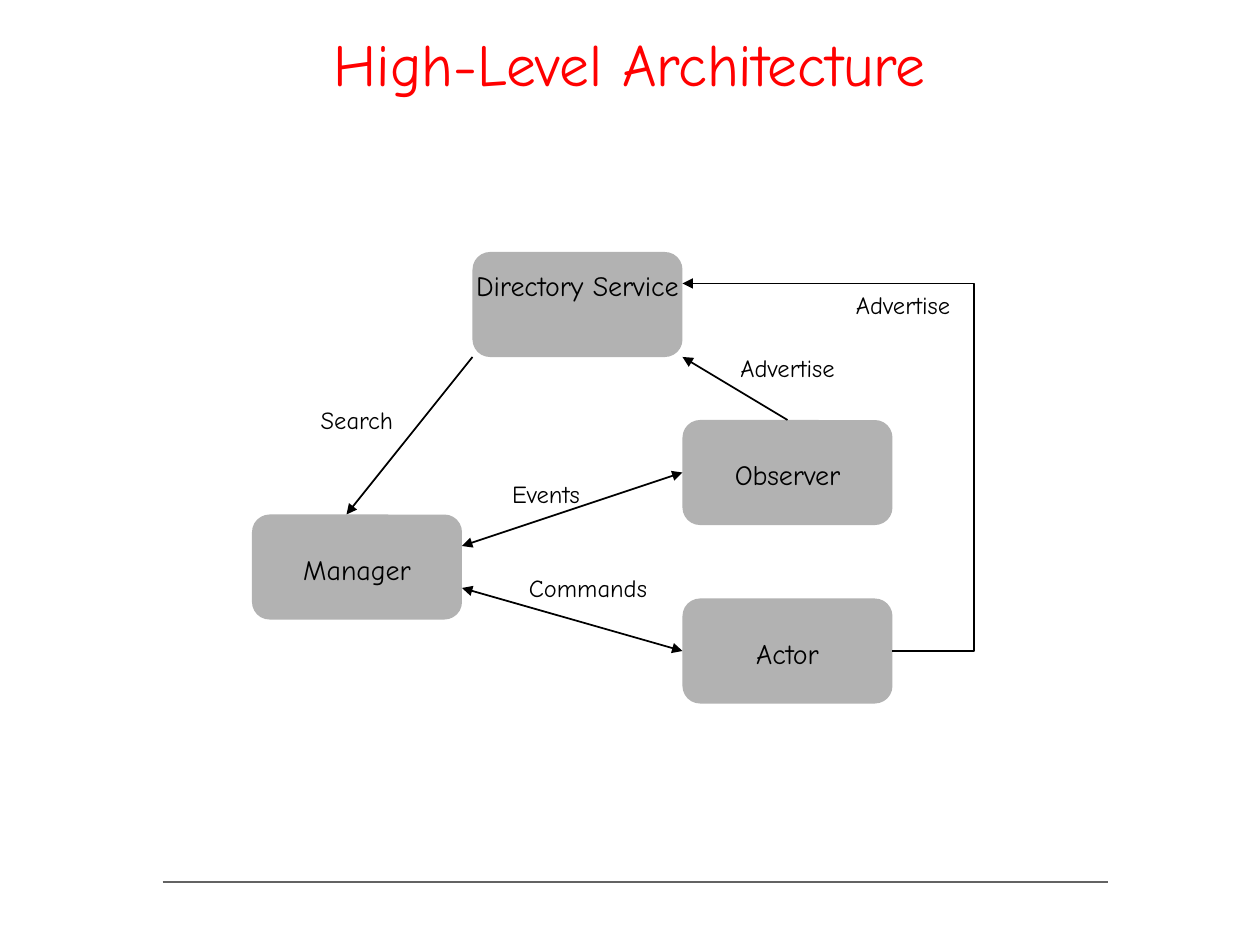
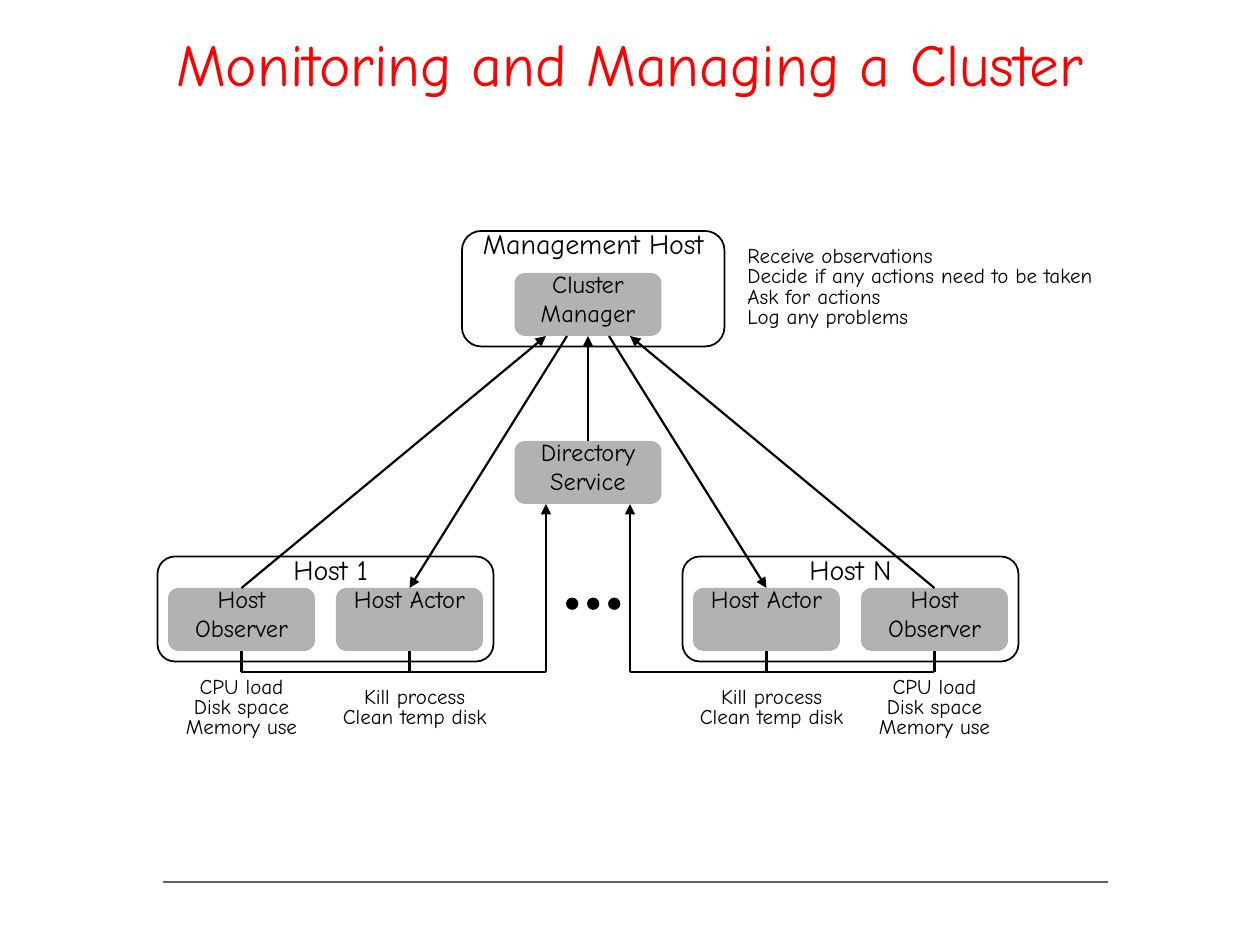
from lxml import etree
from pptx import Presentation
from pptx.dml.color import RGBColor
from pptx.enum.shapes import MSO_CONNECTOR, MSO_SHAPE
from pptx.enum.text import MSO_ANCHOR, PP_ALIGN
from pptx.oxml.ns import qn
from pptx.util import Pt

ROUNDED, OVAL = MSO_SHAPE.ROUNDED_RECTANGLE, MSO_SHAPE.OVAL
STRAIGHT = MSO_CONNECTOR.STRAIGHT
LEFT, CENTER = PP_ALIGN.LEFT, PP_ALIGN.CENTER
TOP, BOTTOM = MSO_ANCHOR.TOP, MSO_ANCHOR.BOTTOM

# Shared style, lengths in points
FONT = "Comic Neue"
BLACK, RED, BOX_GRAY, RULE_GRAY = "000000", "FF0000", "B2B2B2", "636363"
LARGE, MEDIUM, SMALL = 16, 14, 12

# Architecture: boxes as name, left, top, distance down to the name
BOX_WIDTH, BOX_HEIGHT = 120, 60
COMPONENTS = [
    ("Manager", 144, 294, 18),
    ("Actor", 390, 342, 18),
    ("Directory Service", 270, 144, 6),
    ("Observer", 390, 240, 18),
]
# Start, end, arrow at start
MESSAGE_ARROWS = [
    ((270, 204), (198, 294), False),
    ((390, 372), (264, 336), True),
    ((390, 270), (264, 312), True),
    ((450, 240), (390, 204), False),
]
ACTOR_ADVERTISE_ROUTE = [(510, 372), (556.5, 372), (556.5, 162), (390, 162)]
# Text, left, top, width
MESSAGES = [
    ("Events", 276, 270, 72),
    ("Commands", 288, 324, 96),
    ("Advertise", 468, 162, 96),
    ("Advertise", 402, 198, 96),
    ("Search", 168, 228, 72),
]

# Cluster: everything mirrors around the manager's centre line
NODE_WIDTH, NODE_HEIGHT = 84, 36
CENTER_X = 336
MANAGER_TOP, DIRECTORY_TOP, HOST_NODE_TOP = 156, 252, 336
BUS_Y = 384
MANAGER_DUTIES = ["Receive observations", "Decide if any actions need to be taken",
                  "Ask for actions", "Log any problems"]
OBSERVATIONS = ["CPU load", "Disk space", "Memory use"]
ACTIONS = ["Kill process", "Clean temp disk"]
# Side is -1 left of the centre line and 1 right of it
HOSTS = [
    {"name": "Host 1", "left": 90, "name_center": 189, "side": -1,
     "observer": 138, "actor": 234},
    {"name": "Host N", "left": 390, "name_center": 486, "side": 1,
     "observer": 534, "actor": 438},
]


def color(hex_string):
    return RGBColor.from_string(hex_string)


def add_text(slide, text, left, top, width, height=27, size=MEDIUM, font_color=BLACK,
             align=CENTER, anchor=TOP, line_spacing=None):
    """Add a text box; a list gives one paragraph per item."""
    box = slide.shapes.add_textbox(Pt(left), Pt(top), Pt(width), Pt(height))
    frame = box.text_frame
    frame.word_wrap = True
    frame.vertical_anchor = anchor
    frame.text = text if isinstance(text, str) else "\n".join(text)
    for paragraph in frame.paragraphs:
        paragraph.alignment = align
        paragraph.line_spacing = line_spacing
        font = paragraph.runs[0].font
        font.name, font.size = FONT, Pt(size)
        font.color.rgb = color(font_color)


def add_notes(slide, lines, left, top, width, align=CENTER):
    add_text(slide, lines, left, top, width, 12 + 11 * len(lines), size=SMALL,
             align=align, line_spacing=0.8)


def add_box(slide, left, top, width, height, kind=ROUNDED, fill=None, line=None):
    shape = slide.shapes.add_shape(kind, Pt(left), Pt(top), Pt(width), Pt(height))
    shape.shadow.inherit = False
    if kind == ROUNDED:
        shape.adjustments[0] = 0.167
    if fill:
        shape.fill.solid()
        shape.fill.fore_color.rgb = color(fill)
    else:
        shape.fill.background()
    if line:
        shape.line.color.rgb = color(line)
        shape.line.width = Pt(1)
    else:
        shape.line.fill.background()


def style_line(shape, width, line_color=BLACK, start_arrow=False, end_arrow=False):
    shape.line.color.rgb = color(line_color)
    shape.line.width = Pt(width)
    outline = shape._element.spPr.find(qn("a:ln"))
    for tag, wanted in (("a:headEnd", start_arrow), ("a:tailEnd", end_arrow)):
        if wanted:
            etree.SubElement(outline, qn(tag), type="triangle")


def add_line(slide, start, end, width=1.25, **style):
    connector = slide.shapes.add_connector(STRAIGHT, *map(Pt, (*start, *end)))
    style_line(connector, width, **style)
    etree.SubElement(connector._element.spPr, qn("a:effectLst"))


def add_route(slide, points, width):
    first, *rest = [(Pt(x), Pt(y)) for x, y in points]
    builder = slide.shapes.build_freeform(*first)
    builder.add_line_segments(rest, close=False)
    route = builder.convert_to_shape()
    route.shadow.inherit = False
    route.fill.background()
    style_line(route, width, end_arrow=True)


def add_node(slide, name, center, top):
    left = center - NODE_WIDTH / 2
    add_box(slide, left, top, NODE_WIDTH, NODE_HEIGHT, fill=BOX_GRAY)
    add_text(slide, name, left, top - 6, NODE_WIDTH, 41)


def add_slide(presentation, title):
    slide = presentation.slides.add_slide(presentation.slide_layouts[6])
    add_line(slide, (93, 504), (633, 504), width=1.5, line_color=RULE_GRAY)
    add_text(slide, title, 54, 0, 612, 60, size=34, font_color=RED, anchor=BOTTOM)
    return slide


def build_architecture(presentation):
    slide = add_slide(presentation, "High-Level Architecture")
    for name, left, top, name_drop in COMPONENTS:
        add_box(slide, left, top, BOX_WIDTH, BOX_HEIGHT, fill=BOX_GRAY)
        add_text(slide, name, left - 6, top + name_drop, BOX_WIDTH + 12, size=LARGE)
    for start, end, both_ways in MESSAGE_ARROWS:
        add_line(slide, start, end, width=1, start_arrow=both_ways, end_arrow=True)
    add_route(slide, ACTOR_ADVERTISE_ROUTE, width=1)
    for text, left, top, width in MESSAGES:
        add_text(slide, text, left, top, width)


def add_host(slide, host):
    observer, actor, side = host["observer"], host["actor"], host["side"]
    node_bottom = HOST_NODE_TOP + NODE_HEIGHT
    manager_bottom = MANAGER_TOP + NODE_HEIGHT
    directory_bottom = DIRECTORY_TOP + NODE_HEIGHT

    # Host frame, nodes and notes
    add_node(slide, "Host Observer", observer, HOST_NODE_TOP)
    add_node(slide, "Host Actor", actor, HOST_NODE_TOP)
    add_box(slide, host["left"], 318, 192, 60, line=BLACK)
    add_text(slide, host["name"], host["name_center"] - 36, 312, 72, size=LARGE)
    add_notes(slide, OBSERVATIONS, observer - 48, 384, 96)
    add_notes(slide, ACTIONS, actor - 48, 390, 102)

    # Traffic with the manager
    add_line(slide, (CENTER_X + 12 * side, manager_bottom), (actor, HOST_NODE_TOP),
             end_arrow=True)
    add_line(slide, (observer, HOST_NODE_TOP), (CENTER_X + 24 * side, manager_bottom),
             end_arrow=True)

    # Bus up to the directory
    riser = CENTER_X + 24 * side
    add_line(slide, (observer, BUS_Y), (riser, BUS_Y))
    add_line(slide, (riser, BUS_Y), (riser, directory_bottom), end_arrow=True)
    for node in (observer, actor):
        add_line(slide, (node, BUS_Y), (node, node_bottom))


def build_cluster(presentation):
    slide = add_slide(presentation, "Monitoring and Managing a Cluster")
    # Management host
    add_node(slide, "Cluster Manager", CENTER_X, MANAGER_TOP)
    add_box(slide, 264, 132, 150, 66, line=BLACK)
    add_text(slide, "Management Host", 264, 126, 150, size=LARGE)
    add_notes(slide, MANAGER_DUTIES, 420, 138, 240, align=LEFT)
    # Directory
    add_node(slide, "Directory Service", CENTER_X, DIRECTORY_TOP)
    add_line(slide, (CENTER_X, DIRECTORY_TOP), (CENTER_X, MANAGER_TOP + NODE_HEIGHT),
             end_arrow=True)
    # Hosts and the dots between them
    for host in HOSTS:
        add_host(slide, host)
    for index in range(3):
        add_box(slide, 324 + 12 * index, 342, 6, 6, kind=OVAL, fill=BLACK, line=BLACK)


def main():
    presentation = Presentation()
    presentation.slide_width, presentation.slide_height = Pt(720), Pt(540)
    build_architecture(presentation)
    build_cluster(presentation)
    presentation.save("out.pptx")


if __name__ == "__main__":
    main()
